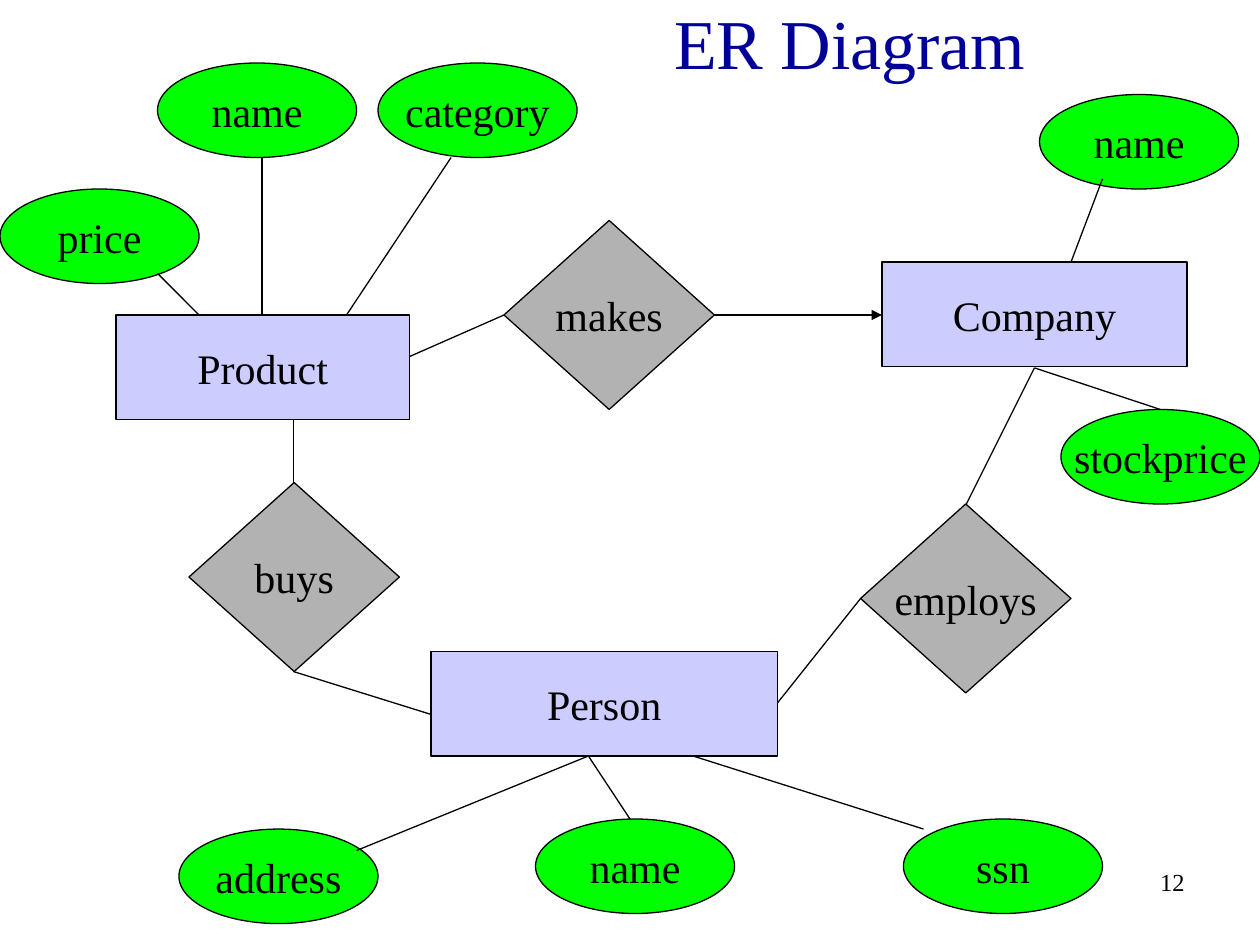
from lxml import etree
from pptx import Presentation
from pptx.dml.color import RGBColor
from pptx.enum.shapes import MSO_CONNECTOR, MSO_SHAPE
from pptx.enum.text import MSO_ANCHOR, PP_ALIGN
from pptx.oxml.ns import qn
from pptx.util import Inches, Pt

OVAL = MSO_SHAPE.OVAL
RECT = MSO_SHAPE.RECTANGLE
DIAMOND = MSO_SHAPE.DIAMOND
STRAIGHT = MSO_CONNECTOR.STRAIGHT
MIDDLE = MSO_ANCHOR.MIDDLE
CENTER = PP_ALIGN.CENTER
RIGHT = PP_ALIGN.RIGHT
FONT = "Times New Roman"
BLACK = "000000"

ATTRS = [
    ("address", 1.42, 6.58), ("name", 4.25, 6.5), ("ssn", 7.17, 6.5),
    ("name", 1.25, 0.5), ("category", 3, 0.5), ("price", 0, 1.5),
    ("stockprice", 8.42, 3.25), ("name", 8.25, 0.75),
]
ENTITIES = [
    ("Person", 3.42, 5.17, 2.75),
    ("Company", 7, 2.08, 2.42),
    ("Product", 0.92, 2.5, 2.33),
]
RELATIONS = [("buys", 1.5, 3.83), ("makes", 4, 1.75), ("employs", 6.83, 4)]
LINKS = [
    (1.58, 2.5, 1.25, 2.17), (2.08, 2.5, 2.08, 1.25),
    (2.75, 2.5, 3.58, 1.25), (4, 2.5, 3.25, 2.83),
    (2.33, 3.83, 2.33, 3.33), (2.33, 5.33, 3.42, 5.67),
    (8.5, 2.08, 8.75, 1.42), (6.83, 4.75, 6.17, 5.58),
    (4.67, 6, 2.83, 6.75), (4.67, 6, 5, 6.5), (5.5, 6, 7.33, 6.58),
    (7.67, 4, 8.21, 2.92), (8.21, 2.92, 9.21, 3.25),
]


def color(code):
    return RGBColor.from_string(code)


def write(frame, text, size, align, code=BLACK):
    frame.text = text
    para = frame.paragraphs[0]
    para.alignment = align
    para.font.size = Pt(size)
    para.font.name = FONT
    para.font.color.rgb = color(code)


def add_node(slide, kind, text, box, fill):
    node = slide.shapes.add_shape(kind, *map(Inches, box))
    node.shadow.inherit = False
    node.fill.solid()
    node.fill.fore_color.rgb = color(fill)
    node.line.color.rgb = color(BLACK)
    node.line.width = Pt(0.75)
    frame = node.text_frame
    frame.word_wrap = False
    frame.vertical_anchor = MIDDLE
    write(frame, text, 24, CENTER)


def add_link(slide, ends, arrow=False):
    link = slide.shapes.add_connector(STRAIGHT, *map(Inches, ends))
    link.line.color.rgb = color(BLACK)
    link.line.width = Pt(0.75)
    if arrow:
        tail = etree.SubElement(link.line._get_or_add_ln(), qn("a:tailEnd"))
        tail.set("type", "triangle")
    etree.SubElement(link._element.spPr, qn("a:effectLst"))


def add_title(slide, text, box):
    title = slide.shapes.title
    title.left, title.top, title.width, title.height = map(Inches, box)
    title.text_frame.vertical_anchor = MIDDLE
    write(title.text_frame, text, 40, CENTER, "000099")


def add_number(slide, text, box):
    label = slide.shapes.add_textbox(*map(Inches, box))
    label.text_frame.word_wrap = True
    write(label.text_frame, text, 14, RIGHT)


def add_diagram(slide):
    for text, left, top in ATTRS:
        add_node(slide, OVAL, text, (left, top, 1.58, 0.75), "00FF00")
    for text, left, top, width in ENTITIES:
        add_node(slide, RECT, text, (left, top, width, 0.83), "CCCCFF")
    for text, left, top in RELATIONS:
        add_node(slide, DIAMOND, text, (left, top, 1.67, 1.5), "B2B2B2")
    add_link(slide, (5.67, 2.5, 7, 2.5), arrow=True)
    for ends in LINKS:
        add_link(slide, ends)


def main():
    deck = Presentation()
    deck.slide_width = Inches(10)
    deck.slide_height = Inches(7.5)
    slide = deck.slides.add_slide(deck.slide_layouts[5])
    add_title(slide, "ER Diagram", (4.58, 0.08, 4.33, 0.5))
    add_number(slide, "12", (7.42, 6.83, 2.08, 0.5))
    add_diagram(slide)
    deck.save("out.pptx")


if __name__ == "__main__":
    main()
